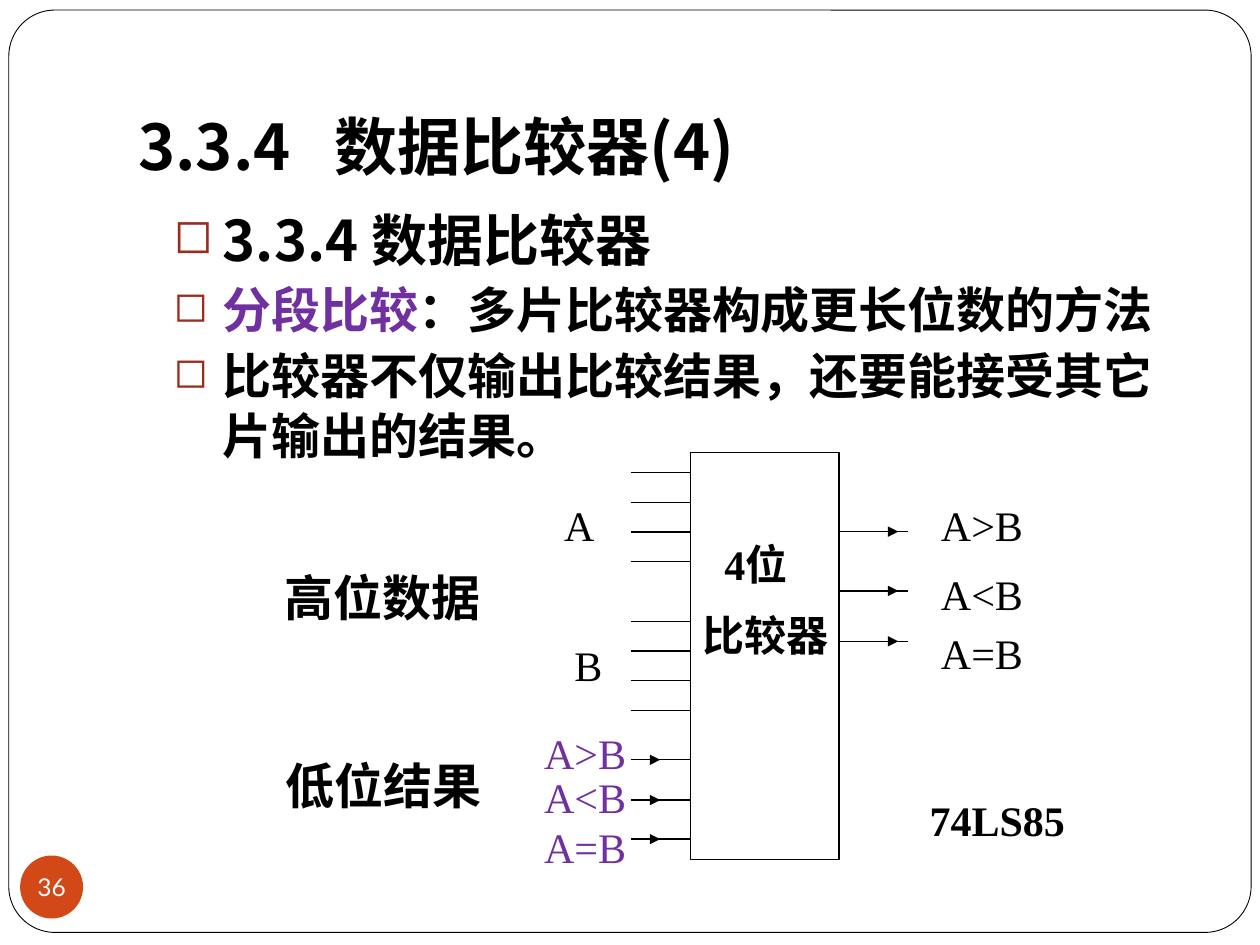
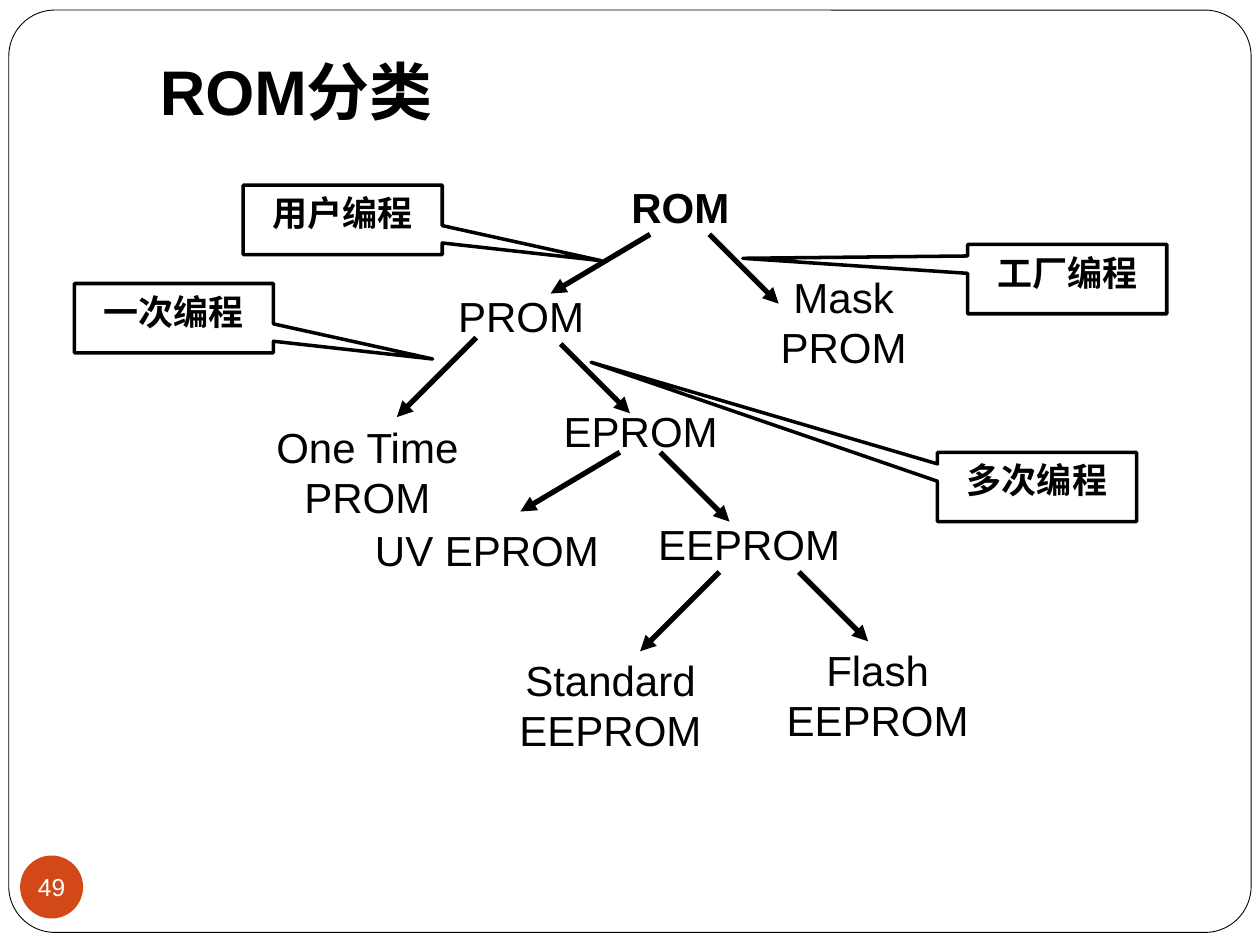
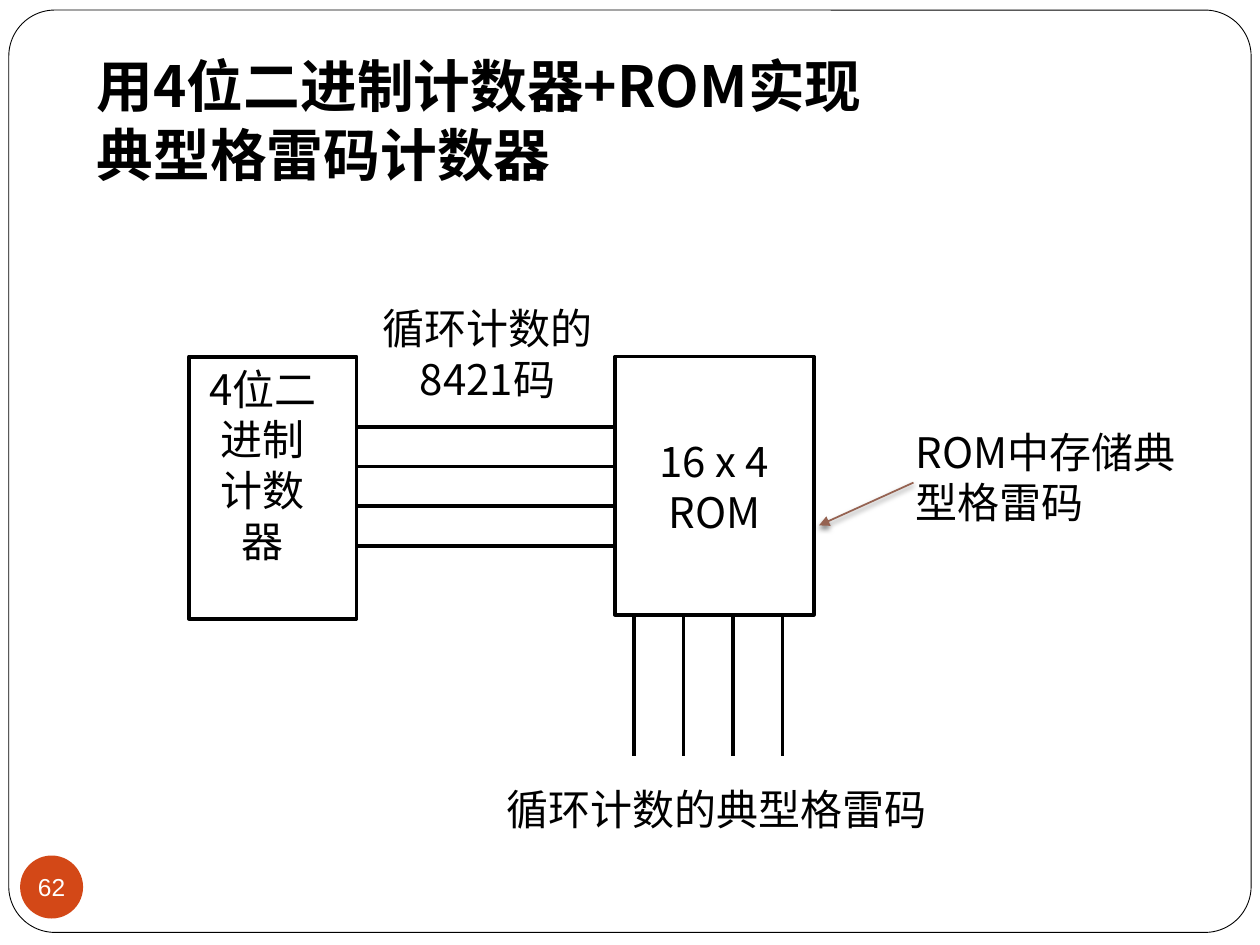
import copy
import pptx
import pptx.util
import pptx.dml.color
import pptx.enum.shapes
import pptx.enum.text
import pptx.oxml
import pptx.oxml.ns
import lxml.etree

Inches, Pt = pptx.util.Inches, pptx.util.Pt
RGB = pptx.dml.color.RGBColor.from_string
SHAPE = pptx.enum.shapes.MSO_SHAPE
ANCHOR = pptx.enum.text.MSO_ANCHOR
ALIGN = pptx.enum.text.PP_ALIGN
qn = pptx.oxml.ns.qn
LEFT, CENTER = ALIGN.LEFT, ALIGN.CENTER

COLORS = {"black": "000000", "white": "FFFFFF", "orange": "D34817",
          "red": "9B2D1F", "purple": "7030A0", "brown": "956251"}
CJK, TIMES, ARIAL, LATO = "Noto Sans CJK JP", "Times New Roman", "Arial", "Lato"
LINE_HEIGHT = 1.21


def add_text(s, at, text, size=24, font=CJK, color="black", bold=False, align=LEFT,
             anchor=ANCHOR.TOP, wrap=True, space=0, preset=None, fill=None, line=None):
    """Add a text box, or a preset shape with text, and format all its runs."""
    box = [Inches(v) for v in at]
    if preset is None:
        sp = s.shapes.add_textbox(*box)
    else:
        sp = s.shapes.add_shape(preset, *box)
        sp.shadow.inherit = False
        if fill:
            sp.fill.solid()
            sp.fill.fore_color.rgb = RGB(COLORS[fill])
        else:
            sp.fill.background()
        if line:
            sp.line.color.rgb = RGB(COLORS["black"])
            sp.line.width = Pt(line)
        else:
            sp.line.fill.background()
    tf = sp.text_frame
    tf.text = text
    tf.word_wrap = wrap
    tf.vertical_anchor = anchor
    for i, p in enumerate(tf.paragraphs):
        p.alignment = align
        p.line_spacing = Pt(round(size * LINE_HEIGHT, 1))
        if i:
            p.space_before = Pt(space)
        for r in p.runs:
            r.font.size = Pt(size)
            r.font.bold = bold
            r.font.color.rgb = RGB(COLORS[color])
            r.font.name = font
            lxml.etree.SubElement(r._r.rPr, qn("a:ea"), typeface=CJK)
    return sp


def add_line(s, x1, y1, x2, y2, width, arrow=False, color="black"):
    c = s.shapes.add_connector(pptx.enum.shapes.MSO_CONNECTOR.STRAIGHT,
                               Inches(x1), Inches(y1), Inches(x2), Inches(y2))
    c.line.color.rgb = RGB(COLORS[color])
    c.line.width = Pt(width)
    if arrow:
        lxml.etree.SubElement(c.line._get_or_add_ln(), qn("a:tailEnd"), type="triangle")
    lxml.etree.SubElement(c._element.spPr, qn("a:effectLst"))
    return c


prs = pptx.Presentation()
prs.slide_width, prs.slide_height = Inches(10), Inches(7.5)

# Shared frame and page number
slides = []
for number, font in (("36", LATO), ("49", ARIAL), ("62", ARIAL)):
    s = prs.slides.add_slide(prs.slide_layouts[6])
    frame = add_text(s, (0.07, 0.08, 9.86, 7.32), "", preset=SHAPE.ROUNDED_RECTANGLE,
                     fill="white", line=0.5)
    frame.adjustments[0] = 0.05
    badge = add_text(s, (0.16, 6.79, 0.5, 0.5), number, 14, font, "white", align=CENTER,
                     anchor=ANCHOR.MIDDLE, wrap=False, preset=SHAPE.OVAL, fill="orange")
    tf = badge.text_frame
    tf.margin_left = tf.margin_right = tf.margin_top = tf.margin_bottom = 0
    slides.append(s)
comparator, rom_tree, gray_counter = slides

# Slide 1: titles
s = comparator
title = add_text(s, (1, 0.3, 8.5, 1.25), "3.3.4\t数据比较器(4)", 36, bold=True,
                 anchor=ANCHOR.BOTTOM)
title.text_frame.margin_bottom = Inches(0.1)
tabs = lxml.etree.SubElement(title.text_frame.paragraphs[0]._p.pPr, qn("a:tabLst"))
lxml.etree.SubElement(tabs, qn("a:tab"), pos=str(Inches(1.56)), algn="l")

# Slide 1: bullets
body = add_text(s, (1, 1.58, 8.5, 5), "3.3.4 数据比较器\n分段比较：多片比较器构成更长位数的方法\n"
                "比较器不仅输出比较结果，还要能接受其它片输出的结果。", 28, bold=True, space=3.7)
heading, method, _ = body.text_frame.paragraphs
heading.line_spacing = Pt(38.7)
heading.runs[0].font.size = Pt(32)
for p in body.text_frame.paragraphs:
    top = p is heading
    mark, color, margin = ("■", "orange", 0.39) if top else ("◻", "red", 0.67)
    p.level = 0 if top else 1
    pPr = p._p.pPr
    pPr.set("marL", str(Inches(margin)))
    pPr.set("indent", str(Inches(-0.39)))
    bullet_color = lxml.etree.SubElement(pPr, qn("a:buClr"))
    lxml.etree.SubElement(bullet_color, qn("a:srgbClr"), val=COLORS[color])
    lxml.etree.SubElement(pPr, qn("a:buSzPct"), val="85000")
    lxml.etree.SubElement(pPr, qn("a:buChar"), char=mark)
term = method.runs[0]
term._r.addnext(copy.deepcopy(term._r))
term.text, method.runs[1].text = "分段比较", "：多片比较器构成更长位数的方法"
term.font.color.rgb = RGB(COLORS["purple"])

# Slide 1: chip with its data inputs
add_text(s, (5.48, 3.59, 1.18, 3.23), "", preset=SHAPE.RECTANGLE, fill="white", line=0.75)
for i in (0, 1, 2, 3, 5, 6, 7, 8):
    y = 3.75 + 0.236 * i
    add_line(s, 5.01, y, 5.48, y, 0.75)
add_text(s, (4.38, 3.91, 0.63, 0.43), "A", font=TIMES)
add_text(s, (4.46, 5.02, 0.36, 0.43), "B", font=TIMES, wrap=False)
chip = add_text(s, (5.48, 4.22, 1.26, 0.93), "4位\n比较器", font=TIMES, bold=True, space=12)
chip.text_frame.paragraphs[0]._p.pPr.set("marL", str(Inches(0.17)))

# Slide 1: results out of the chip and cascade inputs
for label, out_y, out_top, in_y, in_top in (("A>B", 4.22, 3.91, 6.03, 5.72),
                                            ("A<B", 4.69, 4.46, 6.35, 6.07),
                                            ("A=B", 5.09, 4.93, 6.66, 6.47)):
    add_line(s, 6.66, out_y, 7.21, out_y, 0.75)
    add_line(s, 6.9, out_y, 7.13, out_y, 0.75, arrow=True)
    add_text(s, (7.37, out_top, 0.94, 0.43), label, font=TIMES)
    add_line(s, 5.01, in_y, 5.48, in_y, 0.75)
    add_line(s, 5.01, in_y, 5.24, in_y, 0.75, arrow=True)
    add_text(s, (4.22, in_top, 0.94, 0.51), label, font=TIMES, color="purple")
add_text(s, (7.28, 6.25, 1.5, 0.5), "74LS85", font=TIMES, bold=True)
add_text(s, (2.17, 5.94, 1.77, 0.57), "低位结果", 28, bold=True, wrap=False)
add_text(s, (2.16, 4.45, 1.77, 0.57), "高位数据", 28, bold=True, wrap=False)

# Slide 2: title
s = rom_tree
add_text(s, (1.17, 0.36, 8.25, 0.8), "ROM分类", 36, ARIAL, bold=True)

# Slide 2: tree nodes
for label, x, y, w, h in (("ROM", 4.06, 1.39, 2.68, 0.5),
                          ("PROM", 3.19, 2.25, 1.89, 0.5),
                          ("Mask PROM", 5.87, 2.1, 1.65, 0.91),
                          ("One Time PROM", 1.97, 3.29, 1.89, 0.91),
                          ("EPROM", 4.14, 3.17, 1.89, 0.5),
                          ("UV EPROM", 2.8, 4.11, 2.13, 0.5),
                          ("EEPROM", 5, 4.06, 1.89, 0.5),
                          ("Standard EEPROM", 3.9, 5.14, 1.89, 0.91),
                          ("Flash EEPROM", 6.02, 5.06, 1.89, 0.91)):
    add_text(s, (x, y, w, h), label, font=ARIAL, bold=label == "ROM", align=CENTER)

# Slide 2: branches
for x, y, dx, dy in ((5.16, 1.86, -0.79, 0.47), (5.63, 1.86, 0.55, 0.55),
                     (3.78, 2.68, -0.63, 0.63), (4.45, 2.73, 0.55, 0.55),
                     (4.92, 3.59, -0.79, 0.47), (5.24, 3.59, 0.55, 0.55),
                     (5.71, 4.54, -0.63, 0.63), (6.34, 4.54, 0.55, 0.55)):
    add_line(s, x, y, x + dx, y + dy, 3, arrow=True)

# Slide 2: callouts
for label, x, y, tip_x, tip_y in (("多次编程", 7.44, 3.59, -2.24, -1.8),
                                  ("工厂编程", 7.68, 1.94, -1.63, -0.3),
                                  ("用户编程", 1.93, 1.47, 1.3, 0.59),
                                  ("一次编程", 0.59, 2.25, 1.3, 0.59)):
    callout = add_text(s, (x, y, 1.58, 0.55), label, 20, ARIAL, bold=True, align=CENTER,
                       preset=SHAPE.RECTANGULAR_CALLOUT, line=2)
    callout.adjustments[0], callout.adjustments[1] = tip_x, tip_y

# Slide 3: title
s = gray_counter
title = add_text(s, (0.67, 0.33, 8.92, 1.26), "用4位二进制计数器+ROM实现\v典型格雷码计数器", 32.4,
                 bold=True, anchor=ANCHOR.BOTTOM)
title.text_frame.margin_bottom = Inches(0.1)

# Slide 3: counter, ROM and the four-bit buses
add_text(s, (4.88, 2.83, 1.58, 2.05), "16 x 4\nROM", align=CENTER, anchor=ANCHOR.MIDDLE,
         wrap=False, preset=SHAPE.RECTANGLE, line=2)
add_text(s, (1.5, 2.83, 1.33, 2.08), "", preset=SHAPE.RECTANGLE, line=2.25)
add_text(s, (1.5, 2.83, 1.17, 1.72), "4位二进制计数器", align=CENTER)
for bit in range(4):
    y = 3.39 + 0.314 * bit
    x = 5.03 + 0.394 * bit
    add_line(s, 2.83, y, 4.88, y, 2)
    add_line(s, x, 4.88, x, 6, 2)

# Slide 3: labels
add_text(s, (2.83, 2.35, 2.08, 0.91), "循环计数的8421码", align=CENTER)
add_text(s, (3.92, 6.17, 3.53, 0.5), "循环计数的典型格雷码", align=CENTER, wrap=False)
add_text(s, (7.17, 3.33, 2.42, 0.91), "ROM中存储典型格雷码")

# Slide 3: pointer with a soft shadow
pointer = add_line(s, 7.25, 3.83, 6.5, 4.17, 1, arrow=True, color="brown")
effects = pointer._element.spPr.find(qn("a:effectLst"))
shadow = lxml.etree.SubElement(effects, qn("a:outerShdw"), blurRad=str(Pt(3)),
                               dist=str(Pt(2)), dir="5400000", rotWithShape="0")
shade = lxml.etree.SubElement(shadow, qn("a:srgbClr"), val=COLORS["black"])
lxml.etree.SubElement(shade, qn("a:alpha"), val="50000")

prs.save("out.pptx")
